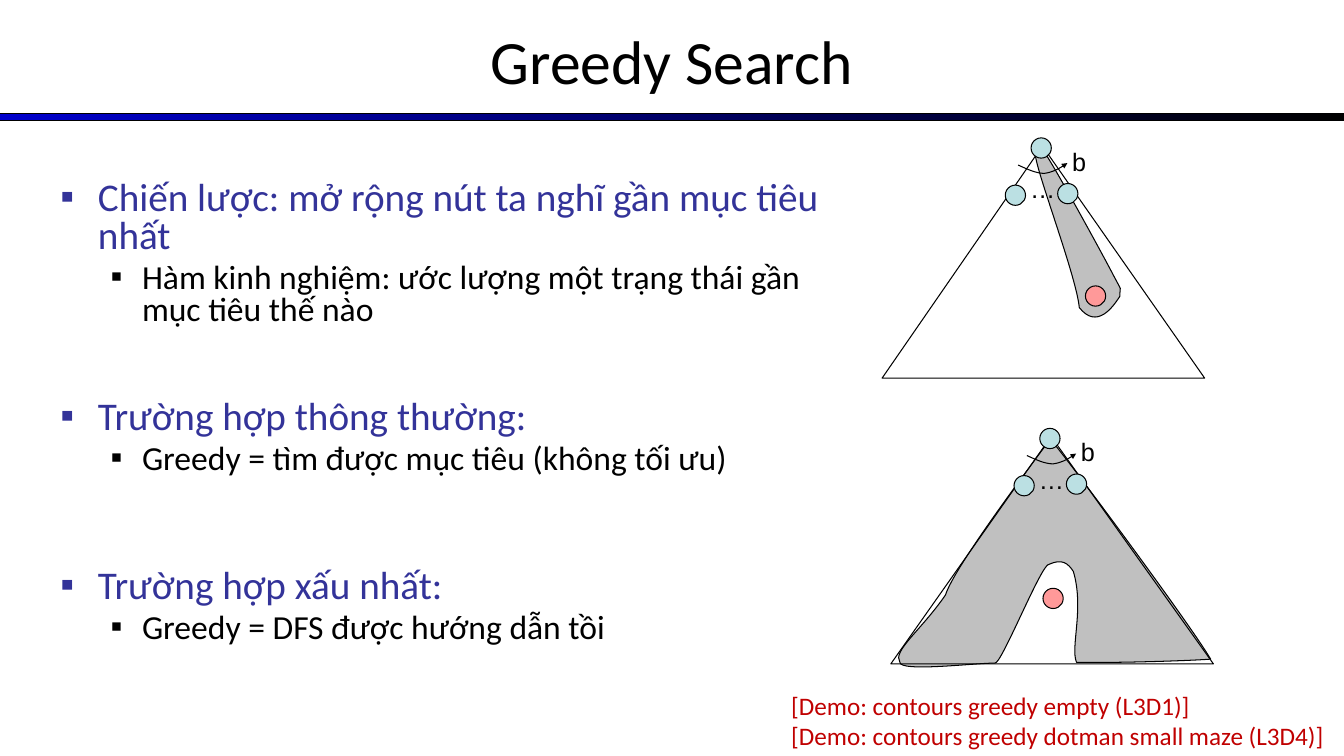
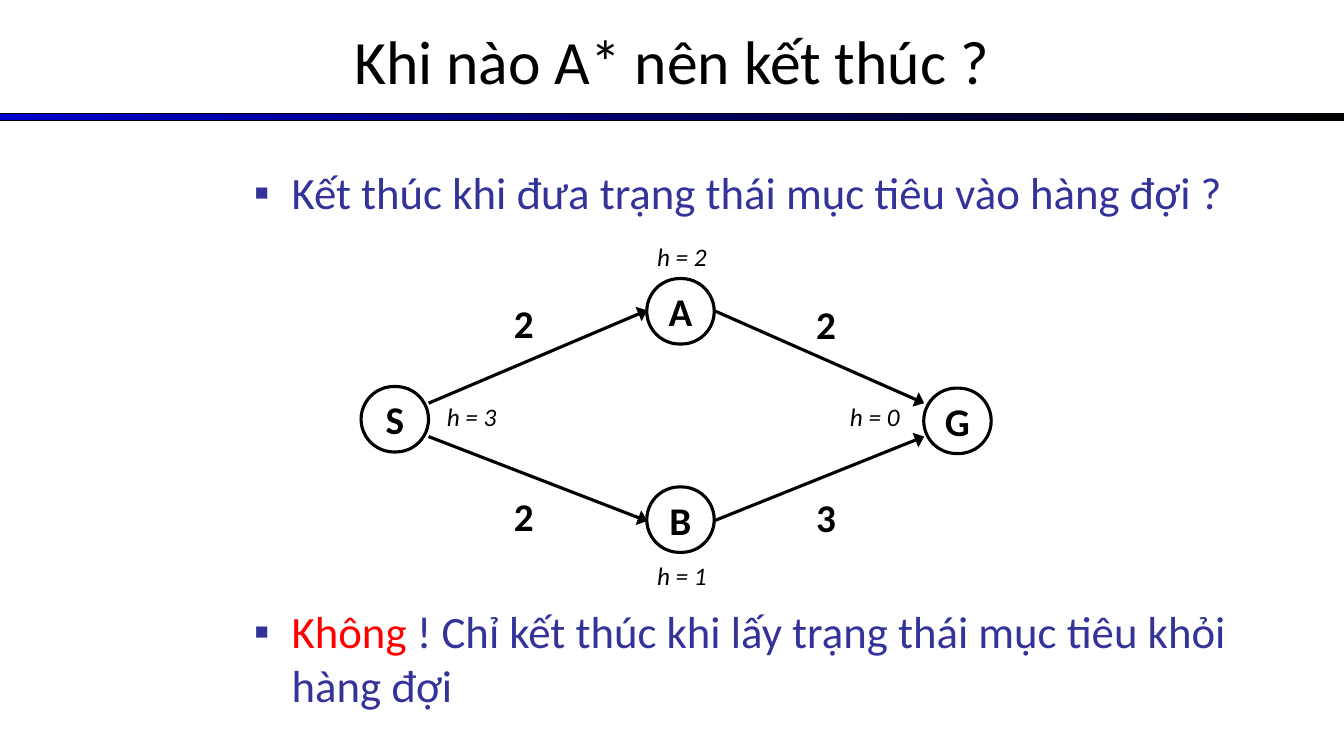
from lxml.etree import SubElement
from pptx import Presentation
from pptx.dml.color import RGBColor
from pptx.enum.shapes import MSO_CONNECTOR, MSO_SHAPE
from pptx.enum.text import MSO_ANCHOR, PP_ALIGN
from pptx.oxml.ns import qn
from pptx.util import Cm, Pt

BLACK, INDIGO, RED, DARK_RED = "000000", "333399", "FF0000", "C00000"
BAND_BLUE, NODE_BLUE, GOAL_PINK, GREY = "0000CC", "BBE0E3", "FF9999", "C0C0C0"
SLIDE_WIDTH, SLIDE_HEIGHT = 33.87, 19.05

# Bullets: level, size, space before in points, runs of (text, colour)
GREEDY_BULLETS = [
    (0, 28, 0, [("Chiến lược: mở rộng nút ta nghĩ gần mục tiêu nhất", INDIGO)]),
    (1, 24, 4.8, [("Hàm kinh nghiệm: ước lượng một trạng thái gần mục tiêu thế nào", BLACK)]),
    (0, 28, 51.8, [("Trường hợp thông thường:", INDIGO)]),
    (1, 24, 4.8, [("Greedy = tìm được mục tiêu (không tối ưu)", BLACK)]),
    (0, 28, 66, [("Trường hợp xấu nhất:", INDIGO)]),
    (1, 24, 4.8, [("Greedy = DFS được hướng dẫn tồi", BLACK)]),
]
ASTAR_BULLETS = [
    (0, 32, 0, [("Kết thúc khi đưa trạng thái mục tiêu vào hàng đợi ?", INDIGO)]),
    (0, 32, 275, [("Không", RED),
                  (" ! Chỉ kết thúc khi lấy trạng thái mục tiêu khỏi hàng đợi", INDIGO)]),
]
INDENTS = [(0.95, 0.95), (2.06, 0.79)]  # left margin, hanging part

DEMOS = ["[Demo: contours greedy empty (L3D1)]",
         "[Demo: contours greedy dotman small maze (L3D4)]"]

# Search trees: centres of root and goal, base line, outline of the expanded
# part as a start point and cubic curves (two control points and an end each)
TREES = [
    {"root": (26.24, 3.73), "goal": (27.61, 7.46), "base": 9.53,
     "start": (26.42, 3.99),
     "curves": [(26.72, 4.47), (27.71, 6.27), (28.02, 6.86),
                (28.32, 7.44), (28.22, 7.16), (28.22, 7.47),
                (28.04, 7.75), (27.64, 8.31), (27.2, 7.75),
                (27.13, 7.01), (26.24, 4.65), (26.11, 4.01),
                (25.96, 3.38), (26.11, 3.51), (26.42, 3.99)]},
    {"root": (26.46, 11.05), "goal": (26.54, 15.08), "base": 16.73,
     "start": (26.62, 11.25),
     "curves": [(27.33, 12.14), (30.05, 15.82), (30.51, 16.61),
                (30.15, 16.64), (28.35, 16.71), (27.13, 16.69),
                (26.97, 16.31), (27.33, 15.34), (27.05, 14.4),
                (26.92, 14.2), (26.77, 14.07), (26.44, 14.22),
                (26.26, 14.17), (25.22, 16.79), (25.07, 16.71),
                (24.54, 16.71), (22.68, 16.94), (22.68, 16.69),
                (22.48, 16.41), (23.22, 15.88), (23.83, 14.99),
                (24.03, 14.33), (25.86, 11.89), (26.31, 11.28),
                (26.77, 10.64), (26.57, 11.25), (26.62, 11.25)]},
]
# Offsets from the root centre
CHILDREN = [(-0.65, 1.19), (0.67, 1.15)]
BRANCH_ARC = [(-0.58, 0.43), (-0.36, 0.53), (-0.13, 0.64), (0.08, 0.64),
              (0.28, 0.61), (0.48, 0.51), (0.66, 0.38)]
TREE_LABELS = [("…", -0.53, 0.52), ("b", 0.53, -0.18)]

# Graph: name, corner of node, heuristic, corner of heuristic
NODES = [("S", (9.1, 9.74), "h = 3", (11.01, 9.98)),
         ("B", (16.3, 12.27), "h = 1", (16.31, 14)),
         ("A", (16.3, 7.02), "h = 2", (16.31, 5.96)),
         ("G", (23.28, 9.78), "h = 0", (21.17, 9.98))]
# Start, end, cost, corner of cost
EDGES = [((17.98, 7.82), (23.29, 10.16), "2", (20.32, 7.44)),
         ((10.8, 10.16), (16.31, 7.82), "2", (12.7, 7.42)),
         ((10.8, 11), (16.31, 13.13), "2", (12.7, 12.27)),
         ((17.98, 13.13), (23.29, 11), "3", (20.32, 12.31))]


def rgb(colour):
    return RGBColor.from_string(colour)


def add_run(paragraph, text, size, colour=BLACK, font="Calibri", bold=False, italic=False):
    run = paragraph.add_run()
    run.text = text
    run.font.name = font
    run.font.size = Pt(size)
    run.font.bold = bold
    run.font.italic = italic
    run.font.color.rgb = rgb(colour)


def add_text_box(slide, left, top, width, height):
    frame = slide.shapes.add_textbox(Cm(left), Cm(top), Cm(width), Cm(height)).text_frame
    frame.word_wrap = True
    return frame


def add_label(slide, text, corner, width, height, size, **style):
    frame = add_text_box(slide, *corner, width, height)
    add_run(frame.paragraphs[0], text, size, **style)


def style_shape(shape, fill=None, width=0.75):
    shape.shadow.inherit = False
    if fill:
        shape.fill.solid()
        shape.fill.fore_color.rgb = rgb(fill)
    else:
        shape.fill.background()
    shape.line.color.rgb = rgb(BLACK)
    shape.line.width = Pt(width)


def add_arrowhead(shape, width, length):
    outline = shape._element.spPr.find(qn("a:ln"))
    SubElement(outline, qn("a:tailEnd"), type="triangle", w=width, len=length)


def add_bullets(slide, bullets, box, line_spacing):
    frame = add_text_box(slide, *box)
    for index, (level, size, space_before, runs) in enumerate(bullets):
        paragraph = frame.add_paragraph() if index else frame.paragraphs[0]
        margin, hanging = INDENTS[level]
        properties = paragraph._p.get_or_add_pPr()
        properties.set("marL", str(Cm(margin)))
        properties.set("indent", str(-Cm(hanging)))
        bullet_colour = SubElement(properties, qn("a:buClr"))
        SubElement(bullet_colour, qn("a:srgbClr"), val=INDIGO if level == 0 else BLACK)
        SubElement(properties, qn("a:buFont"), typeface="Arial")
        SubElement(properties, qn("a:buChar"), char="▪")
        paragraph.level = level
        paragraph.line_spacing = line_spacing
        paragraph.space_before = Pt(space_before)
        for text, colour in runs:
            add_run(paragraph, text, size, colour)


def start_slide(presentation, title):
    """Add a title-only slide with the title and the gradient band."""
    slide = presentation.slides.add_slide(presentation.slide_layouts[5])
    shape = slide.shapes.title
    shape.left, shape.top = Cm(0), Cm(-0.08)
    shape.width, shape.height = Cm(SLIDE_WIDTH), Cm(3.18)
    frame = shape.text_frame
    frame.vertical_anchor = MSO_ANCHOR.MIDDLE
    frame.paragraphs[0].alignment = PP_ALIGN.CENTER
    add_run(frame.paragraphs[0], title, 44)

    band = slide.shapes.add_shape(MSO_SHAPE.RECTANGLE, Cm(0), Cm(2.86), Cm(SLIDE_WIDTH), Cm(0.18))
    style_shape(band)
    band.fill.gradient()
    band.fill.gradient_angle = 0
    for stop, position, colour in zip(band.fill.gradient_stops, (0, 1), (BAND_BLUE, BLACK)):
        stop.position = position
        stop.color.rgb = rgb(colour)
    return slide


def add_outline(slide, points, fill=None, close=True):
    first, *rest = [(Cm(x), Cm(y)) for x, y in points]
    builder = slide.shapes.build_freeform(*first)
    builder.add_line_segments(rest, close=close)
    shape = builder.convert_to_shape()
    style_shape(shape, fill)
    return shape


def add_curve(slide, start, curves, fill=None, close=True):
    """Add an outline whose points, three by three, are cubic curves."""
    shape = add_outline(slide, [start, *curves], fill, close)
    segments = list(shape._element.iter(qn("a:lnTo")))[:len(curves)]
    for index in range(0, len(segments), 3):
        curve = segments[index]
        curve.tag = qn("a:cubicBezTo")
        for segment in segments[index + 1:index + 3]:
            curve.append(segment[0])
            segment.getparent().remove(segment)
    return shape


def add_dot(slide, center, fill, diameter=0.51):
    left, top = (Cm(value - diameter / 2) for value in center)
    dot = slide.shapes.add_shape(MSO_SHAPE.OVAL, left, top, Cm(diameter), Cm(diameter))
    style_shape(dot, fill)


def add_search_tree(slide, tree):
    root_x, root_y = tree["root"]

    def from_root(offsets):
        return [(root_x + dx, root_y + dy) for dx, dy in offsets]

    add_curve(slide, tree["start"], tree["curves"], GREY)
    add_outline(slide, [(root_x - 4.01, tree["base"]), (root_x + 4.12, tree["base"]),
                        (root_x + 0.03, root_y - 0.05)])
    for center in from_root(CHILDREN):
        add_dot(slide, center, NODE_BLUE)
    arc_start, *arc = from_root(BRANCH_ARC)
    add_arrowhead(add_curve(slide, arc_start, arc, close=False), "sm", "sm")
    for text, dx, dy in TREE_LABELS:
        add_label(slide, text, (root_x + dx, root_y + dy), 0.84, 1.02, 18, font="Arial")
    add_dot(slide, tree["goal"], GOAL_PINK)
    add_dot(slide, tree["root"], NODE_BLUE)


def add_node(slide, name, corner):
    left, top = corner
    node = slide.shapes.add_shape(MSO_SHAPE.ROUNDED_RECTANGLE, Cm(left), Cm(top), Cm(1.7), Cm(1.65))
    node.adjustments[0] = 0.5
    style_shape(node, width=2.25)
    frame = node.text_frame
    frame.word_wrap = False
    frame.vertical_anchor = MSO_ANCHOR.MIDDLE
    frame.paragraphs[0].alignment = PP_ALIGN.CENTER
    add_run(frame.paragraphs[0], name, 28, bold=True)


def add_edge(slide, start, end):
    ends = [Cm(value) for value in (*start, *end)]
    edge = slide.shapes.add_connector(MSO_CONNECTOR.STRAIGHT, *ends)
    edge.line.color.rgb = rgb(BLACK)
    edge.line.width = Pt(2.25)
    add_arrowhead(edge, "lg", "med")
    SubElement(edge._element.spPr, qn("a:effectLst"))


def build_greedy_slide(presentation):
    slide = start_slide(presentation, "Greedy Search")
    add_bullets(slide, GREEDY_BULLETS, (1.27, 4.45, 19.69, 13.54), 0.8)
    for tree in TREES:
        add_search_tree(slide, tree)
    frame = add_text_box(slide, 19.69, 17.27, 14.17, 1.78)
    for index, demo in enumerate(DEMOS):
        paragraph = frame.add_paragraph() if index else frame.paragraphs[0]
        add_run(paragraph, demo, 18, DARK_RED)


def build_astar_slide(presentation):
    slide = start_slide(presentation, "Khi nào A* nên kết thúc ?")
    add_bullets(slide, ASTAR_BULLETS, (6.15, 4.03, 27.03, 14.2), 1.0)
    for name, corner, heuristic, heuristic_corner in NODES:
        add_node(slide, name, corner)
        add_label(slide, heuristic, heuristic_corner, 2.54, 1.02, 18, italic=True)
    for start, end, cost, cost_corner in EDGES:
        add_edge(slide, start, end)
        add_label(slide, cost, cost_corner, 1.27, 1.45, 28, bold=True)


def main():
    presentation = Presentation()
    presentation.slide_width = Cm(SLIDE_WIDTH)
    presentation.slide_height = Cm(SLIDE_HEIGHT)
    build_greedy_slide(presentation)
    build_astar_slide(presentation)
    presentation.save("out.pptx")


if __name__ == "__main__":
    main()
